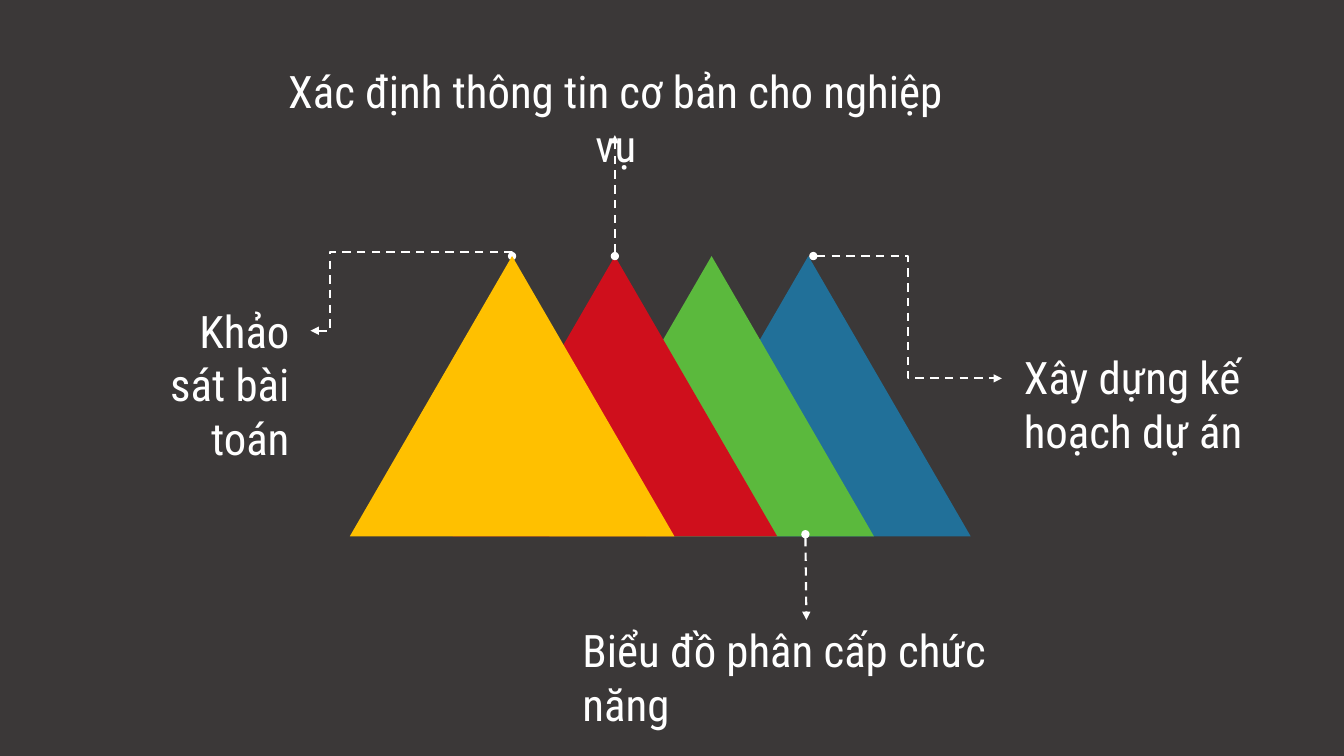
from lxml import etree
from pptx import Presentation
from pptx.dml.color import RGBColor
from pptx.enum.dml import MSO_LINE
from pptx.enum.shapes import MSO_CONNECTOR, MSO_SHAPE
from pptx.enum.text import MSO_AUTO_SIZE, PP_ALIGN
from pptx.oxml.ns import qn
from pptx.util import Pt

STRAIGHT, ELBOW = MSO_CONNECTOR.STRAIGHT, MSO_CONNECTOR.ELBOW
TRIANGLE, DASH = MSO_SHAPE.ISOSCELES_TRIANGLE, MSO_LINE.DASH
LEFT, CENTER, RIGHT = PP_ALIGN.LEFT, PP_ALIGN.CENTER, PP_ALIGN.RIGHT
FIT = MSO_AUTO_SIZE.SHAPE_TO_FIT_TEXT

BACKGROUND = RGBColor(0x3B, 0x38, 0x38)
WHITE = RGBColor(0xFF, 0xFF, 0xFF)
BLUE = RGBColor(0x21, 0x70, 0x99)
GREEN = RGBColor(0x5B, 0xB9, 0x3D)
RED = RGBColor(0xCF, 0x0F, 0x1C)
YELLOW = RGBColor(0xFF, 0xC0, 0x00)
FONT, TEXT_SIZE = "Roboto Condensed", 32

# Content: label, alignment, (left, top, width, height)
LABELS = [
    ("Xây dựng kế hoạch dự án", LEFT, (724.3, 246.2, 220.3, 85)),
    ("Khảo sát bài toán", RIGHT, (92.9, 213.1, 121, 85)),
    ("Xác định thông tin cơ bản cho nghiệp vụ", CENTER, (187.2, 41.8, 505.4, 46.1)),
    ("Biểu đồ phân cấp chức năng", LEFT, (409, 441.4, 329, 46.1)),
]

# Triangles share one base line; each is given by its apex
WIDTH, HEIGHT, APEX_Y = 231.84, 200.16, 182.9
BACK_PEAKS = [(BLUE, 577.4), (GREEN, 508.3), (RED, 439.2)]
FRONT_PEAK = (YELLOW, 365.8)

# Leaders: connector type, start, end
LEADERS = [
    (ELBOW, (581, APEX_Y), (715.7, 270.3)),
    (STRAIGHT, (439.2, APEX_Y), (439.2, 96.5)),
    (STRAIGHT, (575.3, 381.6), (576, 442.8)),
]
# The leader of the front peak rises, runs left, drops and turns left again
FRONT_START, FRONT_END = (365.8, APEX_Y), (221.8, 236.2)
FRONT_BENDS = {"adj1": -5700, "adj2": 90300}

deck = Presentation()
deck.slide_width, deck.slide_height = Pt(960), Pt(540)
page = deck.slides.add_slide(deck.slide_layouts[6])
page.background.fill.solid()
page.background.fill.fore_color.rgb = BACKGROUND


def add_peak(color, apex_x):
    peak = page.shapes.add_shape(
        TRIANGLE, Pt(apex_x - WIDTH / 2), Pt(APEX_Y), Pt(WIDTH), Pt(HEIGHT))
    peak.shadow.inherit = False
    peak.fill.solid()
    peak.fill.fore_color.rgb = color
    peak.line.fill.background()


def add_leader(kind, start, end):
    leader = page.shapes.add_connector(kind, *map(Pt, start + end))
    leader.line.color.rgb = WHITE
    leader.line.width = Pt(1.5)
    leader.line.dash_style = DASH
    properties = leader.element.spPr
    outline = properties.find(qn("a:ln"))
    etree.SubElement(outline, qn("a:headEnd"), type="oval")
    etree.SubElement(outline, qn("a:tailEnd"), type="triangle")
    etree.SubElement(properties, qn("a:effectLst"))
    return leader


def add_front_leader():
    leader = add_leader(ELBOW, FRONT_START, FRONT_END)
    # A quarter turn swaps the sides of the frame around its centre
    (x1, y1), (x2, y2) = FRONT_START, FRONT_END
    width, height = abs(y2 - y1), abs(x2 - x1)
    leader.left, leader.top = Pt((x1 + x2 - width) / 2), Pt((y1 + y2 - height) / 2)
    leader.width, leader.height = Pt(width), Pt(height)
    frame = leader.element.spPr.find(qn("a:xfrm"))
    for name, value in (("rot", "16200000"), ("flipH", "1"), ("flipV", "1")):
        frame.set(name, value)
    geometry = leader.element.spPr.find(qn("a:prstGeom"))
    geometry.set("prst", "bentConnector4")
    guides = geometry.find(qn("a:avLst"))
    for name, value in FRONT_BENDS.items():
        etree.SubElement(guides, qn("a:gd"), name=name, fmla=f"val {value}")


def add_label(text, align, place):
    box = page.shapes.add_textbox(*map(Pt, place))
    frame = box.text_frame
    frame.word_wrap = True
    frame.auto_size = FIT
    frame.text = text
    para = frame.paragraphs[0]
    para.alignment = align
    font = para.runs[0].font
    font.name, font.size, font.color.rgb = FONT, Pt(TEXT_SIZE), WHITE


# Back to front: rear peaks, leaders, front peak, labels
for color, apex_x in BACK_PEAKS:
    add_peak(color, apex_x)
for kind, start, end in LEADERS:
    add_leader(kind, start, end)
add_front_leader()
add_peak(*FRONT_PEAK)
for text, align, place in LABELS:
    add_label(text, align, place)

deck.save("out.pptx")
